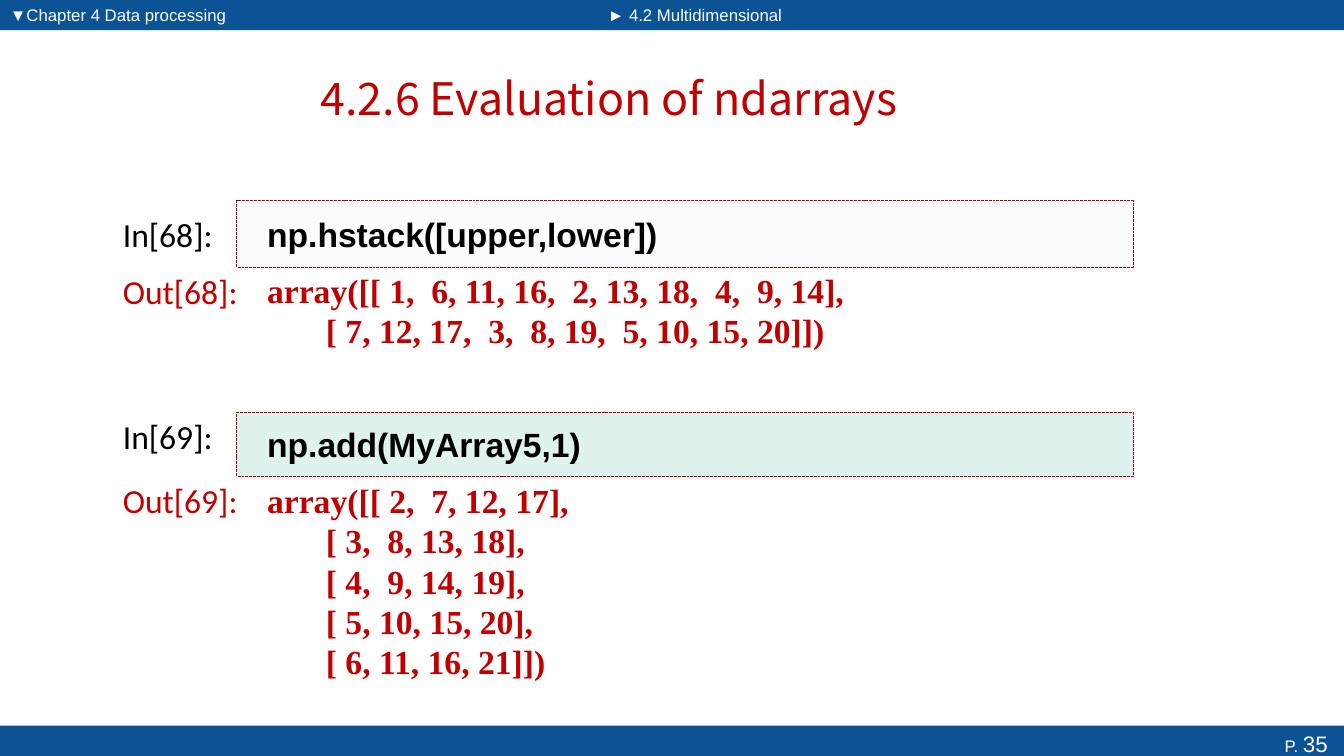
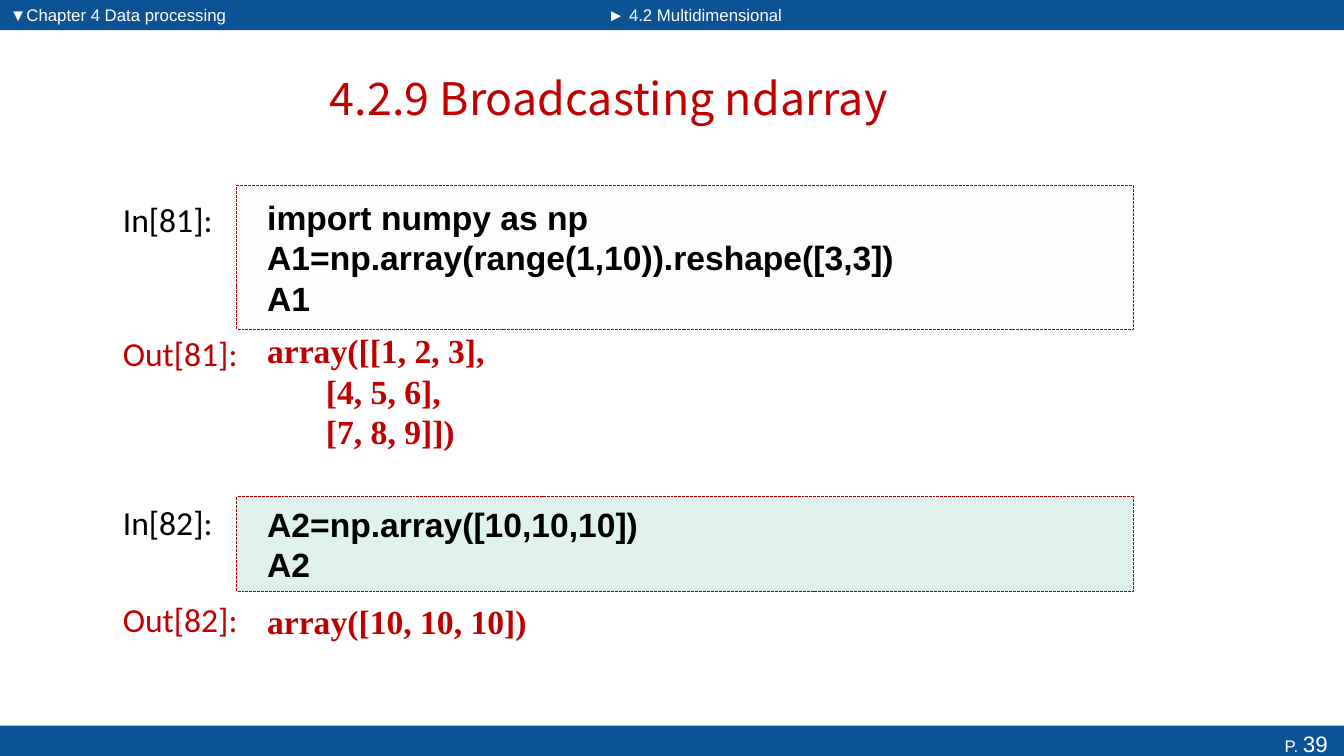
import pptx
import pptx.dml.color
import pptx.enum.dml
import pptx.enum.shapes
import pptx.enum.text
import pptx.oxml.ns
import pptx.util
from lxml import etree

Inches = pptx.util.Inches
Pt = pptx.util.Pt
RGBColor = pptx.dml.color.RGBColor
ALIGN = pptx.enum.text.PP_ALIGN
ANCHOR = pptx.enum.text.MSO_ANCHOR
RECTANGLE = pptx.enum.shapes.MSO_SHAPE.RECTANGLE
qn = pptx.oxml.ns.qn

BLUE = RGBColor(0x0B, 0x53, 0x94)
RED = RGBColor(0xC0, 0x00, 0x00)
BORDER = RGBColor(0xAB, 0x00, 0x00)
LILAC = RGBColor(0xF1, 0xEE, 0xF4)
GREEN = RGBColor(0x0C, 0x9B, 0x74)
WHITE = RGBColor(0xFF, 0xFF, 0xFF)
BLACK = RGBColor(0x00, 0x00, 0x00)

LABEL_LEFT = 1.12
CELL_LEFT = 2.35
CHAPTER_WIDTH = 5.93
SLIDE_WIDTH = 13.33
BAND_HEIGHT = 0.3


class Notebook:
    def __init__(self):
        self.deck = pptx.Presentation()
        self.deck.slide_width = Inches(SLIDE_WIDTH)
        self.deck.slide_height = Inches(7.5)
        self.slide = None

    def new_slide(self, title, page):
        self.slide = self.deck.slides.add_slide(self.deck.slide_layouts[5])
        self.title(title)
        self.band(0, 0, CHAPTER_WIDTH, "▼Chapter 4 Data processing")
        self.band(CHAPTER_WIDTH, 0, SLIDE_WIDTH - CHAPTER_WIDTH, "► 4.2 Multidimensional")
        self.page_footer(page)

    def title(self, text):
        heading = self.slide.shapes.title
        heading.left, heading.top = Inches(0.68), Inches(0.52)
        heading.width, heading.height = Inches(10.72), Inches(0.9)
        heading.text_frame.auto_size = pptx.enum.text.MSO_AUTO_SIZE.NONE
        self.set_lines(heading, [text], "Noto Sans CJK SC", 32, RED, align=ALIGN.CENTER)

    def rectangle(self, left, top, width, height, fill):
        box = self.slide.shapes.add_shape(
            RECTANGLE, Inches(left), Inches(top), Inches(width), Inches(height))
        box.shadow.inherit = False
        box.fill.solid()
        box.fill.fore_color.rgb = fill
        return box

    def band(self, left, top, width, text):
        band = self.rectangle(left, top, width, BAND_HEIGHT, BLUE)
        band.line.fill.background()
        self.set_lines(band, [text], "Arial", 12, WHITE)
        return band

    def page_footer(self, page):
        footer = self.band(0, 7.2, SLIDE_WIDTH, "P. ")
        frame = footer.text_frame
        frame.vertical_anchor = ANCHOR.TOP
        frame.margin_top, frame.margin_bottom = Inches(0.04), 0
        frame.margin_right = Inches(0.16)
        line = frame.paragraphs[0]
        line.alignment = ALIGN.RIGHT
        number = line.add_run()
        number.text = str(page)
        number.font.size = Pt(16)

    def set_lines(self, shape, lines, font, size, color, bold=False,
                  align=ALIGN.LEFT, anchor=ANCHOR.MIDDLE):
        frame = shape.text_frame
        frame.word_wrap = True
        frame.vertical_anchor = anchor
        for index, text in enumerate(lines):
            line = frame.add_paragraph() if index else frame.paragraphs[0]
            line.add_run().text = text
            line.alignment = align
            line.font.name = font
            line.font.size = Pt(size)
            line.font.color.rgb = color
            line.font.bold = bold

    def text_box(self, left, top, width, height):
        return self.slide.shapes.add_textbox(
            Inches(left), Inches(top), Inches(width), Inches(height))

    def label(self, text, top, color):
        label = self.text_box(LABEL_LEFT, top, 1.54, 0.5)
        self.set_lines(label, [text], "Calibri", 24, color, anchor=ANCHOR.TOP)

    def code(self, number, label_top, top, height, fill, lines):
        self.label(f"In[{number}]:", label_top, BLACK)
        cell = self.rectangle(CELL_LEFT, top, 8.89, height, fill)
        tint = cell._element.spPr.find(qn("a:solidFill"))[0]
        etree.SubElement(tint, qn("a:alpha"), val="13000")
        cell.line.color.rgb = BORDER
        cell.line.width = Pt(0.7)
        cell.line.dash_style = pptx.enum.dml.MSO_LINE.SQUARE_DOT
        cell.text_frame.margin_left = Inches(0.3)
        self.set_lines(cell, lines, "Arial", 24, BLACK, bold=True)

    def result(self, number, label_top, top, height, lines):
        self.label(f"Out[{number}]:", label_top, RED)
        output = self.text_box(CELL_LEFT, top, 8.74, height)
        output.text_frame.margin_left = Inches(0.3)
        self.set_lines(output, lines, "Times New Roman", 24, RED, bold=True)


def main():
    book = Notebook()

    book.new_slide("4.2.6 Evaluation of ndarrays", 35)
    book.code(68, 2.07, 1.99, 0.66, LILAC, ["np.hstack([upper,lower])"])
    book.result(68, 2.64, 2.56, 1.03, [
        "array([[ 1,  6, 11, 16,  2, 13, 18,  4,  9, 14],",
        "       [ 7, 12, 17,  3,  8, 19,  5, 10, 15, 20]])",
    ])
    book.code(69, 4.08, 4.09, 0.64, GREEN, ["np.add(MyArray5,1)"])
    book.result(69, 4.71, 4.63, 2.26, [
        "array([[ 2,  7, 12, 17],",
        "       [ 3,  8, 13, 18],",
        "       [ 4,  9, 14, 19],",
        "       [ 5, 10, 15, 20],",
        "       [ 6, 11, 16, 21]])",
    ])

    book.new_slide("4.2.9 Broadcasting ndarray", 39)
    book.code(81, 1.92, 1.84, 1.43, LILAC, [
        "import numpy as np",
        "A1=np.array(range(1,10)).reshape([3,3])",
        "A1",
    ])
    book.result(81, 3.25, 3.25, 1.25, [
        "array([[1, 2, 3],",
        "       [4, 5, 6],",
        "       [7, 8, 9]])",
    ])
    book.code(82, 4.93, 4.93, 0.94, GREEN, ["A2=np.array([10,10,10])", "A2"])
    book.result(82, 5.89, 5.74, 0.85, ["array([10, 10, 10])"])

    book.deck.save("out.pptx")


if __name__ == "__main__":
    main()
